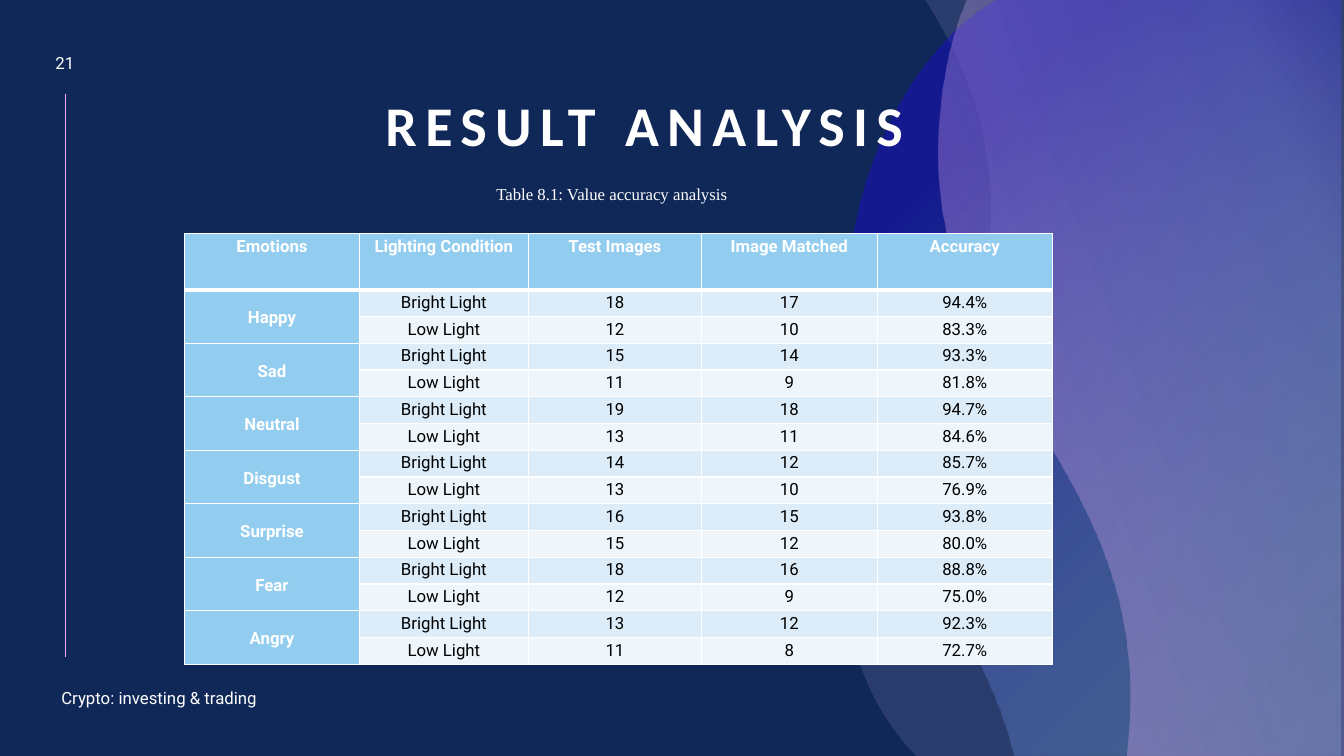
"""Build the result analysis slide with its accuracy table."""
from dataclasses import dataclass

from lxml.etree import SubElement
from pptx import Presentation
from pptx.dml.color import RGBColor
from pptx.enum.shapes import MSO_CONNECTOR
from pptx.enum.text import MSO_ANCHOR, PP_ALIGN
from pptx.oxml.ns import qn
from pptx.util import Pt

WHITE, BLACK, NAVY = "FFFFFF", "000000", "102857"
SKY, PALE, ICE = "92CDF0", "DCEDF9", "EEF6FC"
PINK, LILAC, BLUE = "F6A6F4", "C3B9F2", "180DC2"


@dataclass
class Stop:
    place: int
    color: str
    alpha: int


@dataclass
class Blob:
    top: float
    right: float
    foot: float
    start: tuple
    curves: list
    stops: list
    angle: int | None = None


@dataclass
class Label:
    text: str
    box: tuple
    font: str = "Roboto"
    align: PP_ALIGN = PP_ALIGN.CENTER


BLOBS = [
    Blob(661, 960, 654.5, (653.8, 539.3),
         [((626.4, 511.2), (603.4, 466.6), (604.1, 409)),
          ((604.8, 307.4), (705.6, 263.5), (707.8, 154.8)),
          ((709.2, 87.1), (684, 37.4), (662.4, 2.2))],
         [Stop(0, LILAC, 14)]),
    Blob(711.4, 957.6, 724.3, (720.7, 526.3),
         [((688.3, 419.8), (604.8, 354.2), (604.1, 231.8)),
          ((603.4, 118.8), (654.5, 39.6), (700.6, 7.2))],
         [Stop(4, SKY, 24), Stop(79, BLUE, 52)]),
    Blob(690.5, 960, 805, (806.4, 519.1),
         [((807.1, 509.8), (807.1, 499.7), (807.1, 490.3)),
          ((804.2, 329.8), (671, 264.2), (670.3, 114.5)),
          ((669.6, 76.3), (675.4, 42.5), (685.4, 13))],
         [Stop(1, PINK, 38), Stop(84, LILAC, 20), Stop(100, PINK, 3)], 340),
]
LABELS = [
    Label("21", (25.9, 32.4, 41, 24.5)),
    Label("Crypto: investing & trading", (36.7, 487.4, 183.6, 21.6),
          align=PP_ALIGN.LEFT),
    Label("Table 8.1: Value accuracy analysis", (74.2, 127.8, 725.8, 21.6),
          "Times New Roman"),
]
HEADS = ["Emotions", "Lighting Condition", "Test Images", "Image Matched",
         "Accuracy"]
WIDTHS = [125, 120.6, 123.8, 125.4, 125.2]
LIGHTS = ["Bright Light", "Low Light"]
SCORES = {
    "Happy": [("18", "17", "94.4%"), ("12", "10", "83.3%")],
    "Sad": [("15", "14", "93.3%"), ("11", "9", "81.8%")],
    "Neutral": [("19", "18", "94.7%"), ("13", "11", "84.6%")],
    "Disgust": [("14", "12", "85.7%"), ("13", "10", "76.9%")],
    "Surprise": [("16", "15", "93.8%"), ("15", "12", "80.0%")],
    "Fear": [("18", "16", "88.8%"), ("12", "9", "75.0%")],
    "Angry": [("13", "12", "92.3%"), ("11", "8", "72.7%")],
}


def ink(color: str) -> RGBColor:
    return RGBColor.from_string(color)


def tint(host, color: str, alpha: int = 100) -> None:
    node = SubElement(host, qn("a:srgbClr"), val=color)
    if alpha < 100:
        SubElement(node, qn("a:alpha"), val=str(alpha * 1000))


def style(para, font: str, size: float, color: str, bold: bool = False,
          align: PP_ALIGN = PP_ALIGN.CENTER) -> None:
    para.alignment = align
    para.font.name = font
    para.font.size = Pt(size)
    para.font.bold = bold
    para.font.color.rgb = ink(color)


def blend(shape, blob: Blob) -> None:
    shape.fill.background()
    old = shape._element.spPr.find(qn("a:noFill"))
    flat = len(blob.stops) == 1
    fill = old.makeelement(qn("a:solidFill" if flat else "a:gradFill"))
    old.getparent().replace(old, fill)
    if flat:
        tint(fill, blob.stops[0].color, blob.stops[0].alpha)
        return
    group = SubElement(fill, qn("a:gsLst"))
    for stop in blob.stops:
        mark = SubElement(group, qn("a:gs"), pos=str(stop.place * 1000))
        tint(mark, stop.color, stop.alpha)
    if blob.angle is None:
        ring = SubElement(fill, qn("a:path"), path="circle")
        SubElement(ring, qn("a:fillToRect"), l="100000", t="100000")
    else:
        SubElement(fill, qn("a:lin"), ang=str(blob.angle * 60000), scaled="0")


def bend(shape, curves: list) -> None:
    lines = list(shape._element.iter(qn("a:lnTo")))[4:]
    for line, curve in zip(lines, curves):
        arc = line.makeelement(qn("a:cubicBezTo"))
        for x, y in curve:
            SubElement(arc, qn("a:pt"), x=str(Pt(x) - shape.left),
                       y=str(Pt(y) - shape.top))
        line.getparent().replace(line, arc)


def draw(slide, blob: Blob) -> None:
    spots = [(blob.right, 0), (blob.right, 540), (blob.foot, 540), blob.start]
    spots += [curve[-1] for curve in blob.curves]
    form = slide.shapes.build_freeform(Pt(blob.top), 0)
    form.add_line_segments([(Pt(x), Pt(y)) for x, y in spots], close=True)
    shape = form.convert_to_shape()
    bend(shape, blob.curves)
    shape.shadow.inherit = False
    shape.line.fill.background()
    blend(shape, blob)


def rule(slide) -> None:
    line = slide.shapes.add_connector(
        MSO_CONNECTOR.STRAIGHT, Pt(46.8), Pt(67), Pt(46.8), Pt(469.4))
    line.line.color.rgb = ink(PINK)
    line.line.width = Pt(0.5)
    SubElement(line._element.spPr, qn("a:effectLst"))


def write(slide, label: Label) -> None:
    frame = slide.shapes.add_textbox(*map(Pt, label.box)).text_frame
    frame.word_wrap = True
    frame.vertical_anchor = MSO_ANCHOR.MIDDLE
    frame.text = label.text
    style(frame.paragraphs[0], label.font, 12, WHITE, align=label.align)


def head(slide) -> None:
    title = slide.shapes.title
    title.left, title.top, title.width, title.height = map(
        Pt, (110.9, 32.4, 699.1, 84.2))
    frame = title.text_frame
    frame.text = "RESULT ANALYSIS"
    frame.vertical_anchor = MSO_ANCHOR.BOTTOM
    para = frame.paragraphs[0]
    para.line_spacing = 0.9
    style(para, "Calibri", 40, WHITE, True)
    para.runs[0]._r.get_or_add_rPr().set("spc", "600")
    slide.shapes._spTree.append(title._element)


def edge(cell, row: int) -> None:
    props = cell._tc.get_or_add_tcPr()
    thick = {"T": 3 if row == 1 else 1, "B": 3 if row == 0 else 1}
    for side in "LRTB":
        line = SubElement(props, qn(f"a:ln{side}"),
                          w=str(Pt(thick.get(side, 1))))
        tint(SubElement(line, qn("a:solidFill")), WHITE)


def grid(slide) -> None:
    rows = [HEADS] + [
        [mood if spot == 0 else "", LIGHTS[spot], *vals]
        for mood, pair in SCORES.items() for spot, vals in enumerate(pair)]
    table = slide.shapes.add_table(
        len(rows), len(HEADS), Pt(131.8), Pt(167), Pt(620), Pt(307.8)).table
    for col, width in zip(table.columns, WIDTHS):
        col.width = Pt(width)
    for r, texts in enumerate(rows):
        table.rows[r].height = Pt(19.13 if r else 40)
        for c, text in enumerate(texts):
            cell = table.cell(r, c)
            lead = r == 0 or c == 0
            edge(cell, r)
            cell.fill.solid()
            cell.fill.fore_color.rgb = ink(SKY if lead else PALE if r % 2 else ICE)
            cell.margin_left = cell.margin_right = Pt(5)
            cell.margin_top = cell.margin_bottom = 0
            cell.vertical_anchor = (
                MSO_ANCHOR.MIDDLE if r and c == 0 else MSO_ANCHOR.TOP)
            cell.text = text
            para = cell.text_frame.paragraphs[0]
            para.line_spacing = 1.15
            para.space_after = Pt(8)
            style(para, "Roboto", 12, WHITE if lead else BLACK, lead)
    for r in range(1, len(rows), 2):
        table.cell(r, 0).merge(table.cell(r + 1, 0))


def main() -> None:
    deck = Presentation()
    deck.slide_width, deck.slide_height = Pt(960), Pt(540)
    slide = deck.slides.add_slide(deck.slide_layouts[5])
    slide.background.fill.solid()
    slide.background.fill.fore_color.rgb = ink(NAVY)
    rule(slide)
    for blob in BLOBS:
        draw(slide, blob)
    head(slide)
    grid(slide)
    for label in LABELS:
        write(slide, label)
    deck.save("out.pptx")


if __name__ == "__main__":
    main()
